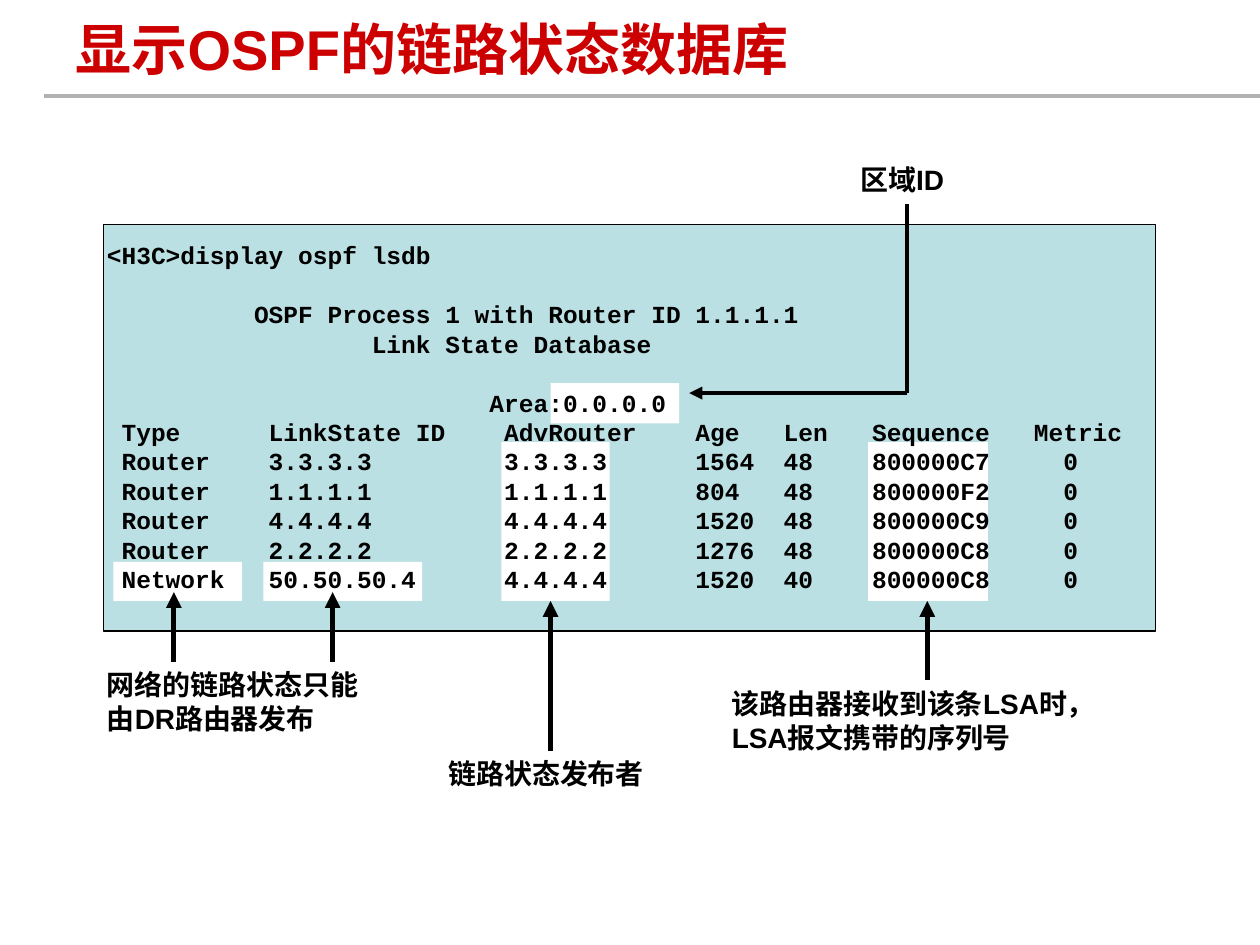
import dataclasses

import pptx
import pptx.dml.color
import pptx.enum.shapes
import pptx.enum.text
import pptx.oxml
import pptx.oxml.ns
import pptx.util
from pptx.util import Inches

ALIGN = pptx.enum.text.PP_ALIGN
ANCHOR = pptx.enum.text.MSO_ANCHOR


@dataclasses.dataclass
class Box:
    left: float
    top: float
    width: float
    height: float


@dataclasses.dataclass
class Label:
    box: Box
    lines: list[str]
    size: int = 16
    color: str = "000000"
    font: str = "Arial"
    align: ALIGN = ALIGN.LEFT
    anchor: ANCHOR = ANCHOR.TOP
    wrap: bool = True


@dataclasses.dataclass
class Line:
    start: tuple[float, float]
    end: tuple[float, float]
    width: float = 3
    color: str = "000000"
    arrow: bool = True


RULE = Line((0.35, 0.76), (10, 0.76), 2.25, "B2B2B2", False)
SCREEN = Box(0.82, 1.78, 8.35, 3.23)
MARKS = [
    Box(4.37, 3.04, 1.02, 0.32),  # area
    Box(0.9, 4.46, 1.02, 0.31),   # type
    Box(2.09, 4.46, 1.26, 0.31),  # link state
    Box(6.89, 3.51, 0.95, 1.26),  # sequence
    Box(3.98, 3.51, 0.86, 1.26),  # router
]
# An empty line becomes space before the next paragraph.
OUTPUT = """\
<H3C>display ospf lsdb

          OSPF Process 1 with Router ID 1.1.1.1
                  Link State Database

                          Area:0.0.0.0
 Type      LinkState ID    AdvRouter    Age   Len   Sequence   Metric
 Router    3.3.3.3         3.3.3.3      1564  48    800000C7     0
 Router    1.1.1.1         1.1.1.1      804   48    800000F2     0
 Router    4.4.4.4         4.4.4.4      1520  48    800000C9     0
 Router    2.2.2.2         2.2.2.2      1276  48    800000C8     0
 Network   50.50.50.4      4.4.4.4      1520  40    800000C8     0"""
LABELS = [
    Label(Box(0.5, 0.05, 7.92, 0.67), ["显示OSPF的链路状态数据库"], 32, "CC0000",
          anchor=ANCHOR.MIDDLE),
    Label(Box(0.75, 1.86, 8.51, 2.9), OUTPUT.split("\n"), 14, font="Courier New"),
    Label(Box(6.57, 1.23, 1.18, 0.39), ["区域ID"],
          align=ALIGN.CENTER, anchor=ANCHOR.MIDDLE, wrap=False),
    Label(Box(0.75, 5.25, 2.52, 0.64), ["网络的链路状态只能", "由DR路由器发布"]),
    Label(Box(3.43, 5.9, 1.81, 0.47), ["链路状态发布者"],
          align=ALIGN.CENTER, anchor=ANCHOR.MIDDLE, wrap=False),
    Label(Box(5.71, 5.4, 3.15, 0.64), ["该路由器接收到该条LSA时，", "LSA报文携带的序列号"]),
]
LINES = [
    Line((7.2, 1.62), (7.2, 3.12), 2.5, arrow=False),
    Line((7.2, 3.12), (5.47, 3.12), 2.5),
    Line((1.38, 5.25), (1.38, 4.7)),
    Line((2.64, 5.25), (2.64, 4.7)),
    Line((4.37, 5.96), (4.37, 4.77)),
    Line((7.36, 5.4), (7.36, 4.77)),
]


def paint(code: str) -> pptx.dml.color.RGBColor:
    return pptx.dml.color.RGBColor.from_string(code)


def place(box: Box) -> list[int]:
    return [Inches(side) for side in dataclasses.astuple(box)]


def draw_box(slide, box: Box, fill: str, edge: str | None = None) -> None:
    kind = pptx.enum.shapes.MSO_SHAPE.RECTANGLE
    shape = slide.shapes.add_shape(kind, *place(box))
    shape.shadow.inherit = False
    shape.fill.solid()
    shape.fill.fore_color.rgb = paint(fill)
    if edge:
        shape.line.color.rgb = paint(edge)
        shape.line.width = pptx.util.Pt(0.75)
    else:
        shape.line.fill.background()


def draw_line(slide, line: Line) -> None:
    kind = pptx.enum.shapes.MSO_CONNECTOR.STRAIGHT
    ends = [Inches(value) for value in line.start + line.end]
    shape = slide.shapes.add_connector(kind, *ends)
    shape.line.color.rgb = paint(line.color)
    shape.line.width = pptx.util.Pt(line.width)
    if line.arrow:
        tail = pptx.oxml.ns.qn("a:tailEnd")
        shape.line._get_or_add_ln().makeelement(tail)
        head = pptx.oxml.parse_xml(
            f'<a:tailEnd {pptx.oxml.ns.nsdecls("a")} type="triangle"/>')
        shape.line._get_or_add_ln().append(head)
    effects = pptx.oxml.parse_xml(f'<a:effectLst {pptx.oxml.ns.nsdecls("a")}/>')
    shape._element.spPr.append(effects)


def draw_label(slide, label: Label) -> None:
    frame = slide.shapes.add_textbox(*place(label.box)).text_frame
    frame.word_wrap = label.wrap
    frame.vertical_anchor = label.anchor
    pitch = label.size * 1.2
    para, gap = frame.paragraphs[0], 0
    for text in label.lines:
        if not text:
            gap += pitch
            continue
        if para.runs:
            para = frame.add_paragraph()
        para.add_run().text = text
        para.alignment = label.align
        para.line_spacing = pptx.util.Pt(pitch)
        if gap:
            para.space_before = pptx.util.Pt(gap)
        para.font.name = label.font
        para.font.size = pptx.util.Pt(label.size)
        para.font.bold = True
        para.font.color.rgb = paint(label.color)
        gap = 0


def main() -> None:
    deck = pptx.Presentation()
    deck.slide_width, deck.slide_height = Inches(10), Inches(7.5)
    slide = deck.slides.add_slide(deck.slide_layouts[6])
    draw_line(slide, RULE)
    draw_box(slide, SCREEN, "BBE0E3", "000000")
    for mark in MARKS:
        draw_box(slide, mark, "FFFFFF")
    for label in LABELS:
        draw_label(slide, label)
    for line in LINES:
        draw_line(slide, line)
    deck.save("out.pptx")


if __name__ == "__main__":
    main()
